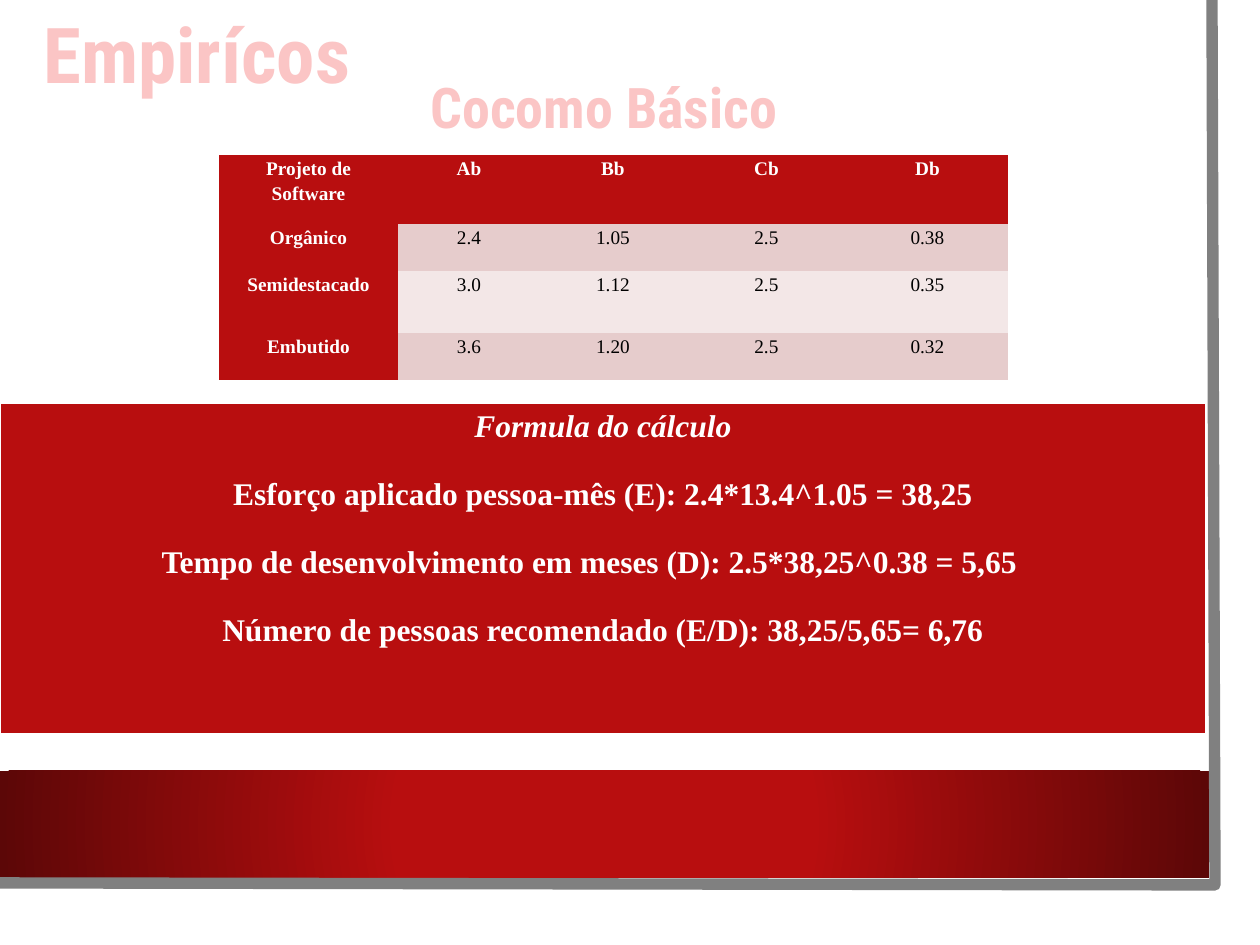
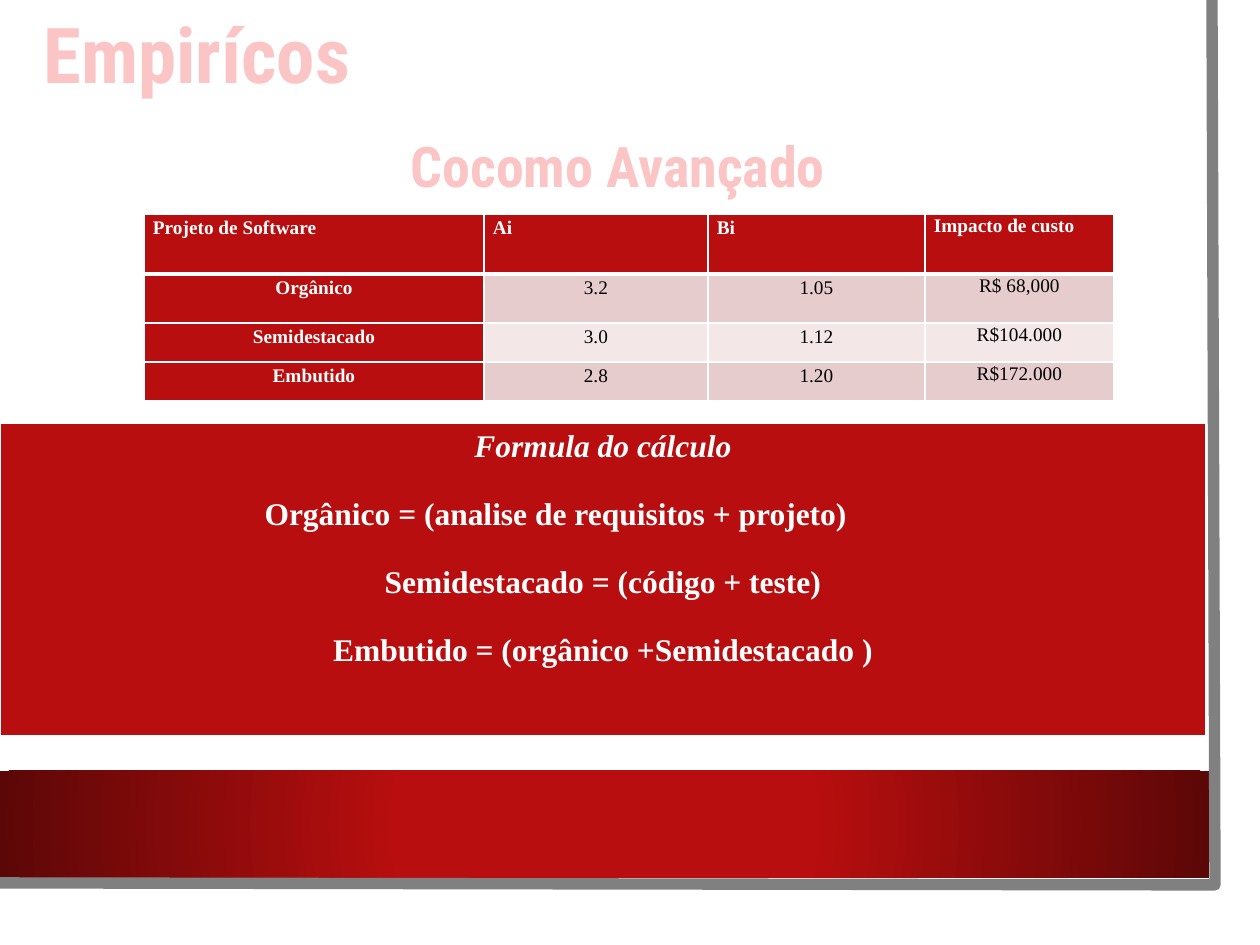
from lxml.etree import SubElement
from pptx import Presentation
from pptx.dml.color import RGBColor
from pptx.enum.shapes import MSO_SHAPE
from pptx.enum.text import MSO_ANCHOR, MSO_AUTO_SIZE, PP_ALIGN
from pptx.oxml import parse_xml
from pptx.oxml.ns import nsdecls, qn
from pptx.util import Emu, Pt

RED, DARK_RED, PINK = "B80E0F", "5C0707", "FBC5C5"
BAND_ODD, BAND_EVEN = "E6CCCC", "F3E7E7"
WHITE, BLACK, GREY = "FFFFFF", "000000", "808080"
HEAD_FONT, BODY_FONT = "Roboto Condensed", "Times New Roman"


def px(n):
    """Pixels to EMU, at 126 pixels to the inch."""
    return Emu(round(n * 914400 / 126))


def rgb(color):
    return RGBColor.from_string(color)


def write(p, text, size=11, font=BODY_FONT, color=WHITE, bold=True, italic=False,
          align=PP_ALIGN.CENTER, spacing=None, before=0, indent=0):
    """Fill one paragraph; indent is a left margin in px."""
    r = p.add_run()
    r.text = text
    r.font.size, r.font.name = Pt(size), font
    r.font.bold, r.font.italic = bold, italic
    r.font.color.rgb = rgb(color)
    p.alignment, p.line_spacing, p.space_before = align, spacing, Pt(before)
    if indent:
        p._p.get_or_add_pPr().set("marL", str(px(indent)))


def set_border(cell, side, width):
    """Draw one white cell edge, or hide it when width is 0."""
    ln = SubElement(cell._tc.get_or_add_tcPr(), qn(f"a:ln{side}"), w=str(Pt(width)))
    if width:
        fill = SubElement(ln, qn("a:solidFill"))
        SubElement(fill, qn("a:srgbClr"), val=WHITE)
    else:
        SubElement(ln, qn("a:noFill"))


class Deck:
    """Holds the presentation, its style and the current slide."""

    def __init__(self):
        self.prs = Presentation()
        self.prs.slide_width, self.prs.slide_height = px(1260), px(945)

    def new_slide(self, title):
        self.s = self.prs.slides.add_slide(self.prs.slide_layouts[5])
        self.band()
        self.frame()
        self.heading(self.s.shapes.title, title, 25, 0, 344, 106, 44)

    def band(self):
        sp = self.s.shapes.add_shape(MSO_SHAPE.RECTANGLE, 0, px(771), px(1209), px(107))
        sp.shadow.inherit = False
        sp.line.fill.background()
        sp.fill.background()
        no_fill = sp._element.spPr.find(qn("a:noFill"))
        no_fill.getparent().replace(no_fill, parse_xml(
            f'<a:gradFill {nsdecls("a")} rotWithShape="1"><a:gsLst>'
            f'<a:gs pos="34000"><a:srgbClr val="{RED}"/></a:gs>'
            f'<a:gs pos="100000"><a:srgbClr val="{DARK_RED}"/></a:gs></a:gsLst>'
            '<a:path path="circle"><a:fillToRect l="50000" t="50000" r="50000" b="50000"/>'
            '</a:path></a:gradFill>'))

    def frame(self):
        """Grey edge along the right and bottom of the page."""
        builder = self.s.shapes.build_freeform(px(1212), 0)
        builder.add_line_segments([(px(1215), px(885)), (px(-3), px(883))], close=False)
        sp = builder.convert_to_shape()
        sp.shadow.inherit = False
        sp.fill.background()
        sp.line.color.rgb, sp.line.width = rgb(GREY), Pt(6.5)

    def heading(self, sp, text, x, y, w, h, size):
        sp.left, sp.top, sp.width, sp.height = px(x), px(y), px(w), px(h)
        tf = sp.text_frame
        tf.word_wrap, tf.auto_size = False, MSO_AUTO_SIZE.NONE
        tf.vertical_anchor = MSO_ANCHOR.TOP
        write(tf.paragraphs[0], text, size=size, font=HEAD_FONT, color=PINK)

    def subtitle(self, text, x, y, w):
        sp = self.s.shapes.add_textbox(0, 0, 0, 0)
        self.heading(sp, text, x, y, w, 81, 32)

    def grid(self, x, y, cols, rows, borders=True):
        """Add an empty red table with the given column widths and row heights."""
        table = self.s.shapes.add_table(len(rows), len(cols), px(x), px(y),
                                        px(sum(cols)), px(sum(rows))).table
        for col, w in zip(table.columns, cols):
            col.width = px(w)
        for i, (row, h) in enumerate(zip(table.rows, rows)):
            row.height = px(h)
            widths = {"L": 1, "R": 1, "T": 3 if i == 1 else 1, "B": 3 if i == 0 else 1}
            for cell in row.cells:
                for side, width in widths.items():
                    set_border(cell, side, width if borders else 0)
                cell.fill.solid()
                cell.fill.fore_color.rgb = rgb(RED)
        return table

    def coefficients(self, x, y, cols, rows, data, borders=True,
                     head_align=PP_ALIGN.CENTER, tight_col=None):
        table = self.grid(x, y, cols, rows, borders)
        for i, values in enumerate(data):
            for j, value in enumerate(values):
                cell = table.cell(i, j)
                cell.margin_left = cell.margin_right = px(9)
                cell.margin_top = cell.margin_bottom = 0
                label = i == 0 or j == 0
                if not label:
                    cell.fill.fore_color.rgb = rgb(BAND_ODD if i % 2 else BAND_EVEN)
                write(cell.text_frame.paragraphs[0], value, bold=label,
                      color=WHITE if label else BLACK,
                      align=PP_ALIGN.CENTER if i else head_align,
                      spacing=1.07 if j == tight_col else 1.15)

    def formulas(self, y, h, lines):
        """Red panel; each line is (text, indent), centred when indent is 0."""
        tf = self.grid(0, y, [1206], [h]).cell(0, 0).text_frame
        write(tf.paragraphs[0], "Formula do cálculo", size=18, italic=True)
        for text, indent in lines:
            write(tf.add_paragraph(), text, size=18, before=19, indent=indent,
                  align=PP_ALIGN.LEFT if indent else PP_ALIGN.CENTER)


def main():
    deck = Deck()

    deck.new_slide("Empirícos")
    deck.subtitle("Cocomo Básico", 412, 66, 384)
    deck.coefficients(219, 155, [179, 142, 146, 161, 161], [69, 47, 62, 47], [
        ("Projeto de Software", "Ab", "Bb", "Cb", "Db"),
        ("Orgânico", "2.4", "1.05", "2.5", "0.38"),
        ("Semidestacado", "3.0", "1.12", "2.5", "0.35"),
        ("Embutido", "3.6", "1.20", "2.5", "0.32"),
    ], borders=False)
    deck.formulas(403, 332, [
        ("Esforço aplicado pessoa-mês (E): 2.4*13.4^1.05 = 38,25", 0),
        ("Tempo de desenvolvimento em meses (D): 2.5*38,25^0.38 = 5,65", 149),
        ("Número de pessoas recomendado (E/D): 38,25/5,65= 6,76", 0),
    ])

    deck.new_slide("Empirícos")
    deck.subtitle("Cocomo Avançado", 392, 125, 452)
    deck.coefficients(144, 214, [340, 224, 217, 189], [60, 49, 39, 39], [
        ("Projeto de Software", "Ai", "Bi", "Impacto de custo"),
        ("Orgânico", "3.2", "1.05", "R$ 68,000"),
        ("Semidestacado", "3.0", "1.12", "R$104.000"),
        ("Embutido", "2.8", "1.20", "R$172.000"),
    ], head_align=PP_ALIGN.LEFT, tight_col=3)
    deck.formulas(423, 314, [
        ("Orgânico = (analise de requisitos + projeto)", 252),
        ("Semidestacado = (código + teste)", 0),
        ("Embutido = (orgânico +Semidestacado )", 0),
    ])

    deck.prs.save("out.pptx")


if __name__ == "__main__":
    main()
